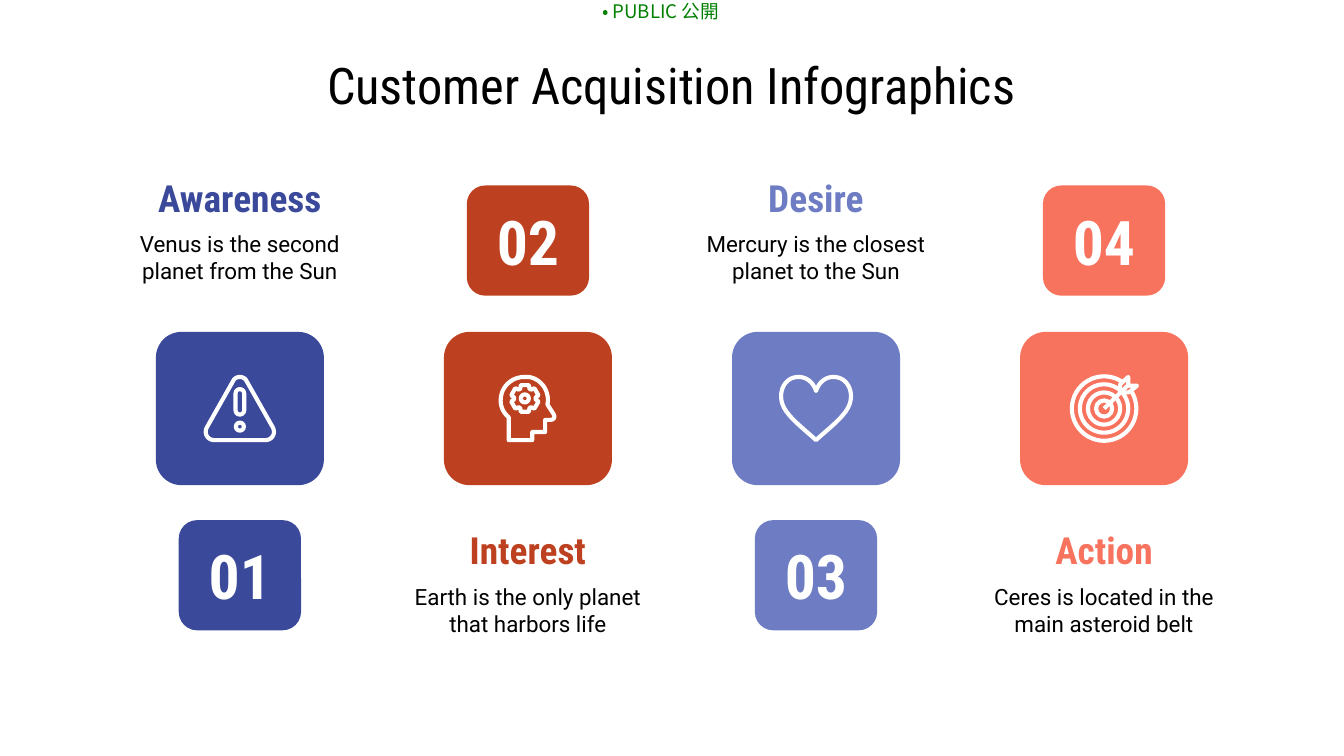
import math
from dataclasses import dataclass

from lxml import etree
from pptx import Presentation
from pptx.dml.color import RGBColor
from pptx.enum import shapes, text
from pptx.oxml.ns import qn
from pptx.util import Inches, Pt


@dataclass(frozen=True)
class Theme:
    ink: str = "000000"
    paper: str = "FFFFFF"
    label: str = "008000"
    stages: tuple = ("3B499B", "BD4120", "6E7DC3", "F7735E")
    head_font: str = "Roboto Condensed"
    body_font: str = "Roboto"
    label_font: str = "Noto Sans CJK JP"
    title_pt: int = 27
    number_pt: int = 33
    heading_pt: int = 20
    body_pt: int = 12
    label_pt: int = 10
    stroke_pt: float = 2.2


STAGES = [
    ("Awareness", "Venus is the second planet from the Sun"),
    ("Interest", "Earth is the only planet that harbors life"),
    ("Desire", "Mercury is the closest planet to the Sun"),
    ("Action", "Ceres is located in the main asteroid belt"),
]
FIRST_LEFT, LAST_LEFT = 1.16, 7.59
CARD_TOP, CARD_W, CARD_H = 2.47, 1.25, 1.14
BADGE_W, BADGE_H = 0.91, 0.82

# Icon outlines in hundredths of an inch from the card centre.
# A pair is a straight step, six numbers are a Bezier curve.
TRIANGLE = [(0, -23.5), (2, -23.5, 4, -22.5, 5, -20.5), (24.5, 14),
            (27, 18.5, 24, 23.5, 19, 23.5), (-19, 23.5),
            (-24, 23.5, -27, 18.5, -24.5, 14), (-5, -20.5),
            (-4, -22.5, -2, -23.5, 0, -23.5)]
HEAD = [(-2.5, -23.5), (1, -23.5), (8, -22, 13, -17, 14.5, -10),
        (15, -8, 15, -5, 14.5, -3), (19, 4), (20.5, 6.5, 19.5, 8.5, 16, 8.5),
        (12.8, 8.5), (12.8, 17.5), (3.2, 17.5), (3.2, 23.5), (-14.3, 23.5),
        (-14.3, 6.5), (-18, 3.5, -20.3, -1, -20.3, -6),
        (-20.3, -16, -12.3, -23.5, -2.5, -23.5)]
HEART = [(0, 23.5), (-13, 11.5, -26, 3, -26, -9),
         (-26, -17.5, -20.5, -23.5, -13, -23.5), (-7, -23.5, -2, -19.5, 0, -13),
         (2, -19.5, 7, -23.5, 13, -23.5), (20.5, -23.5, 26, -17.5, 26, -9),
         (26, 3, 13, 11.5, 0, 23.5)]
FLETCHING = [(12, -12), (12, -18), (18, -23.5), (18, -17), (24.5, -17), (18.5, -12)]
GEAR_CENTRE = (-2.3, -7.5)


def gear(teeth=6):
    cx, cy = GEAR_CENTRE
    corners = [(-25, 8), (-17, 10.4), (17, 10.4), (25, 8)]
    points = []
    for tooth in range(teeth):
        for offset, radius in corners:
            angle = math.radians(360 / teeth * tooth - 90 + offset)
            points.append((cx + radius * math.cos(angle), cy + radius * math.sin(angle)))
    return points


def flatten(outline, steps=12):
    """Turn the curves of an outline into short straight steps."""
    points = [outline[0]]
    for part in outline[1:]:
        if len(part) == 2:
            points.append(part)
            continue
        nodes = [points[-1], part[:2], part[2:4], part[4:]]
        for step in range(1, steps + 1):
            t = step / steps
            weights = [math.comb(3, k) * t**k * (1 - t)**(3 - k) for k in range(4)]
            points.append(tuple(sum(w * n[axis] for w, n in zip(weights, nodes))
                                for axis in (0, 1)))
    return points


def write(sp, words, font, size, color, bold=False, inset=0.1,
          anchor=text.MSO_ANCHOR.MIDDLE):
    tf = sp.text_frame
    tf.word_wrap = True
    tf.vertical_anchor = anchor
    tf.margin_left = tf.margin_right = tf.margin_top = tf.margin_bottom = Inches(inset)
    p = tf.paragraphs[0]
    p.alignment = text.PP_ALIGN.CENTER
    r = p.add_run()
    r.text = words
    r.font.name, r.font.size, r.font.bold = font, Pt(size), bold
    r.font.color.rgb = RGBColor.from_string(color)
    etree.SubElement(r._r.get_or_add_rPr(), qn("a:ea")).set("typeface", font)


class Deck:
    def __init__(self, theme):
        self.theme = theme
        self.prs = Presentation()
        self.prs.slide_width = Inches(10)
        self.prs.slide_height = Inches(10) * 9 // 16
        self.slide = self.prs.slides.add_slide(self.prs.slide_layouts[6])

    def label(self, box, words, **style):
        write(self.slide.shapes.add_textbox(*map(Inches, box)), words, **style)

    def tile(self, box, color):
        sp = self.slide.shapes.add_shape(shapes.MSO_SHAPE.ROUNDED_RECTANGLE,
                                         *map(Inches, box))
        sp.shadow.inherit = False
        sp.fill.solid()
        sp.fill.fore_color.rgb = RGBColor.from_string(color)
        sp.line.fill.background()
        return sp

    def pen(self, sp, fill=None):
        sp.shadow.inherit = False
        if fill:
            sp.fill.solid()
            sp.fill.fore_color.rgb = RGBColor.from_string(fill)
        else:
            sp.fill.background()
        self.stroke(sp.line)

    def stroke(self, line):
        line.color.rgb = RGBColor.from_string(self.theme.paper)
        line.width = Pt(self.theme.stroke_pt)

    def outline(self, origin, parts, fill=None):
        points = [tuple(Inches(o + v / 100) for o, v in zip(origin, point))
                  for point in flatten(parts)]
        builder = self.slide.shapes.build_freeform(*points[0], scale=1.0)
        builder.add_line_segments(points[1:], close=True)
        self.pen(builder.convert_to_shape(), fill)

    def ring(self, origin, centre, width, height=None, rounded=False):
        height = height or width
        kind = shapes.MSO_SHAPE.ROUNDED_RECTANGLE if rounded else shapes.MSO_SHAPE.OVAL
        left = origin[0] + (centre[0] - width / 2) / 100
        top = origin[1] + (centre[1] - height / 2) / 100
        sp = self.slide.shapes.add_shape(
            kind, *map(Inches, (left, top, width / 100, height / 100)))
        if rounded:
            sp.adjustments[0] = 0.5
        self.pen(sp)

    def shaft(self, origin, end):
        tip = [o + v / 100 for o, v in zip(origin, end)]
        line = self.slide.shapes.add_connector(shapes.MSO_CONNECTOR.STRAIGHT,
                                               *map(Inches, (*origin, *tip)))
        self.stroke(line.line)
        etree.SubElement(line._element.spPr, qn("a:effectLst"))

    def icon(self, index, origin):
        if index == 0:
            self.outline(origin, TRIANGLE)
            self.ring(origin, (0, 13.5), 6)
            self.ring(origin, (0, -5), 6.5, 19, rounded=True)
        elif index == 1:
            self.outline(origin, HEAD)
            self.outline(origin, gear())
            self.ring(origin, GEAR_CENTRE, 6)
        elif index == 2:
            self.outline(origin, HEART)
        else:
            for diameter in (48, 36, 24, 12):
                self.ring(origin, (0, 0), diameter)
            self.outline(origin, FLETCHING, self.theme.stages[index])
            self.shaft(origin, (18, -17.5))

    def stage(self, index, heading, body):
        th = self.theme
        color = th.stages[index]
        left = FIRST_LEFT + index * (LAST_LEFT - FIRST_LEFT) / (len(STAGES) - 1)
        centre = left + CARD_W / 2
        text_above = index % 2 == 0
        heading_top, body_top, badge_top = (
            (1.29, 1.66, 3.87) if text_above else (3.91, 4.29, 1.38))
        self.tile((left, CARD_TOP, CARD_W, CARD_H), color)
        self.label((centre - 1.25, heading_top, 2.5, 0.36), heading,
                   font=th.head_font, size=th.heading_pt, color=color, bold=True)
        self.label((centre - 1.08, body_top, 2.16, 0.5), body,
                   font=th.body_font, size=th.body_pt, color=th.ink)
        self.icon(index, (centre, CARD_TOP + CARD_H / 2))
        badge = self.tile((centre - BADGE_W / 2, badge_top, BADGE_W, BADGE_H), color)
        write(badge, f"{index + 1:02d}", font=th.head_font, size=th.number_pt,
              color=th.paper, bold=True)


def main():
    th = Theme()
    deck = Deck(th)
    deck.label((4.47, 0, 0.89, 0.17), "• PUBLIC 公開", font=th.label_font,
               size=th.label_pt, color=th.label, inset=0, anchor=text.MSO_ANCHOR.TOP)
    deck.label((0.49, 0.45, 9.01, 0.36), "Customer Acquisition Infographics",
               font=th.head_font, size=th.title_pt, color=th.ink)
    for index, (heading, body) in enumerate(STAGES):
        deck.stage(index, heading, body)
    deck.prs.save("out.pptx")


if __name__ == "__main__":
    main()
